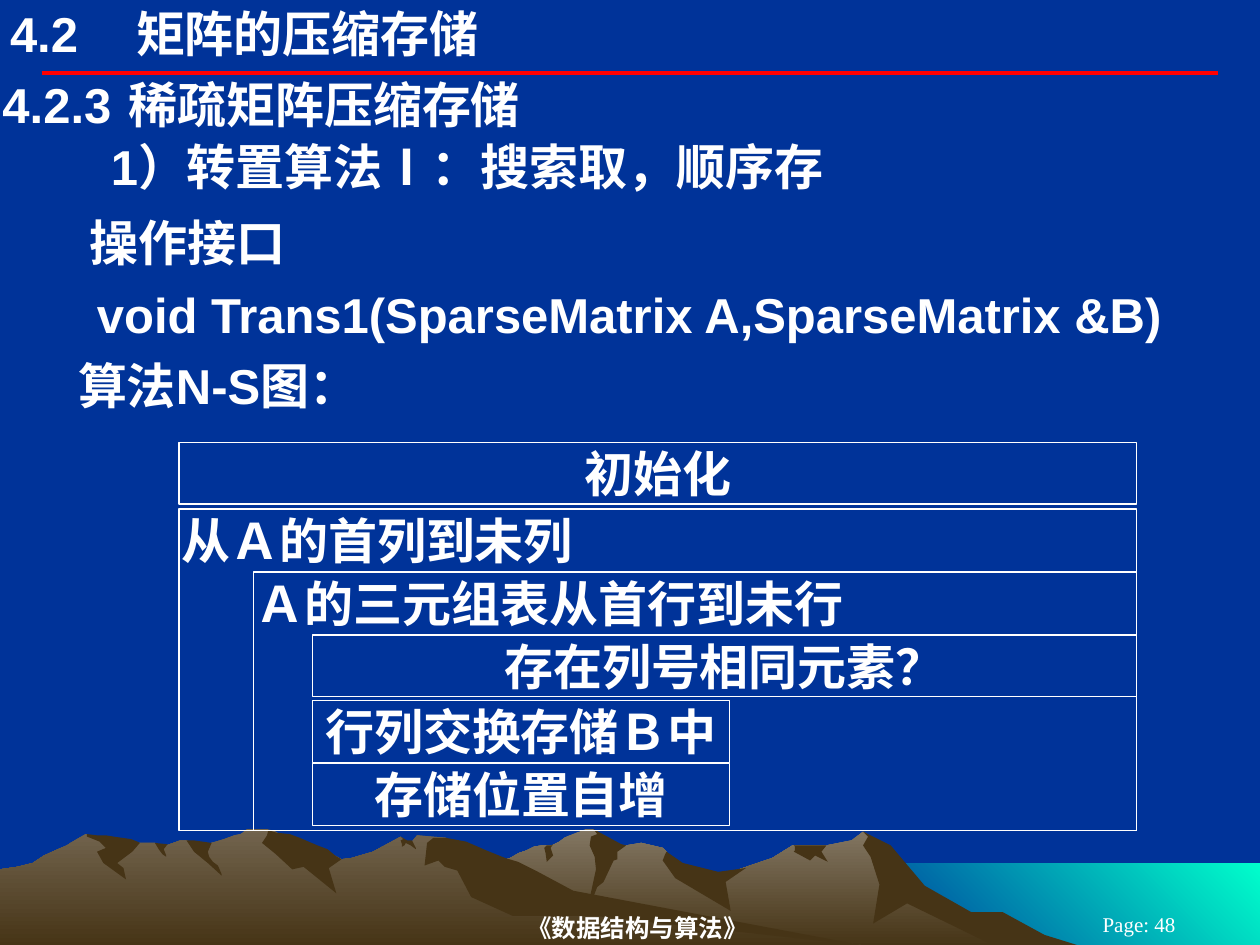
from dataclasses import dataclass

from lxml.etree import SubElement
from pptx import Presentation
from pptx.dml.color import RGBColor
from pptx.enum.shapes import MSO_CONNECTOR as Connector, MSO_SHAPE as Shape
from pptx.enum.text import MSO_ANCHOR as Anchor, MSO_AUTO_SIZE as AutoSize, PP_ALIGN as Align
from pptx.oxml.ns import qn
from pptx.util import Inches, Pt


@dataclass(frozen=True)
class Theme:
    background: str = "003399"
    text: str = "FFFFFF"
    rule: str = "FF0000"
    shade: str = "463416"
    near_rock: str = "72644E"
    far_rock: str = "837763"
    sea: str = "00FFCC"
    font: str = "Arial"
    footer_font: str = "Times New Roman"
    body_size: int = 28
    footer_size: int = 14
    page_size: int = 12


THEME = Theme()
LINE_HEIGHT = 0.49
FRAME_RIGHT, FRAME_BOTTOM = 9.02, 6.59

# Body lines: text, top, indent, tab stop
BODY = [
    ("4.2.3\t稀疏矩阵压缩存储", 0.58, 0, 1.26),
    ("1）转置算法Ⅰ：搜索取，顺序存", 1.07, 0.86, None),
    ("操作接口", 1.68, 0.69, None),
    ("void Trans1(SparseMatrix A,SparseMatrix &B)", 2.25, 0.75, None),
    ("算法N-S图：", 2.81, 0.6, None),
]

# N-S diagram: text, left, top, right, bottom (None: one line high), alignment
NS_BLOCKS = [
    ("初始化", 1.42, 3.51, FRAME_RIGHT, None, Align.CENTER),
    ("从Ａ的首列到未列", 1.42, 4.04, FRAME_RIGHT, FRAME_BOTTOM, Align.LEFT),
    ("Ａ的三元组表从首行到未行", 2.01, 4.54, FRAME_RIGHT, FRAME_BOTTOM, Align.LEFT),
    ("存在列号相同元素？", 2.48, 5.04, FRAME_RIGHT, None, Align.CENTER),
    ("行列交换存储Ｂ中", 2.48, 5.56, 5.79, None, Align.CENTER),
    ("存储位置自增", 2.48, 6.06, 5.79, None, Align.CENTER),
]

# Scenery outlines in hundredths of an inch, back to front
SEA = [(1000, 752), (683, 752), (683, 685), (1000, 685)]
FAR_RANGE = [
    (802, 740), (778, 727), (764, 723), (723, 698), (702, 671), (685, 660), (676, 667),
    (656, 671), (629, 671), (613, 681), (566, 697), (536, 690), (529, 676), (526, 673),
    (509, 669), (497, 671), (486, 673), (474, 661), (471, 658), (465, 658), (450, 664),
    (448, 665), (444, 668), (438, 671), (430, 671), (424, 672), (418, 675), (412, 677),
    (405, 681), (399, 683), (394, 685), (355, 698), (327, 709), (277, 739), (258, 751),
    (821, 751)]
FAR_SHADES = [
    [(796, 724), (771, 724), (734, 703), (707, 671), (685, 660), (689, 664), (685, 671),
     (691, 680), (698, 702), (693, 733), (720, 717), (792, 752), (858, 751), (829, 742)],
    [(471, 658), (474, 662), (469, 664), (468, 671), (472, 680), (473, 690), (465, 727),
     (474, 704), (479, 700), (487, 683), (490, 682), (490, 676), (497, 671), (493, 670)],
    [(529, 676), (528, 678), (526, 683), (536, 697), (580, 723), (576, 700), (592, 689),
     (570, 692), (542, 685)],
    [(650, 671), (630, 671), (631, 672), (631, 675), (630, 676), (643, 683), (647, 679),
     (657, 684), (652, 676), (656, 671)],
    [(433, 677), (432, 673), (434, 671), (438, 671), (439, 670), (437, 673), (439, 679),
     (434, 684)],
]
NEAR_RANGE = [
    (690, 751), (667, 748), (432, 712), (354, 665), (331, 663), (327, 668), (323, 668),
    (318, 664), (296, 676), (279, 681), (271, 682), (260, 676), (236, 681), (223, 663),
    (219, 660), (212, 658), (196, 658), (191, 662), (186, 663), (178, 666), (168, 669),
    (160, 671), (148, 667), (143, 667), (132, 671), (128, 671), (123, 669), (111, 669),
    (94, 671), (68, 662), (56, 669), (53, 671), (46, 674), (35, 679), (26, 685),
    (14, 688), (0, 690), (0, 751)]
NEAR_SHADES = [
    [(212, 663), (208, 669), (219, 678), (232, 690), (241, 688), (267, 709), (261, 689),
     (271, 682), (266, 679), (260, 674), (252, 671), (238, 665), (230, 662), (220, 661),
     (213, 659)],
    [(370, 668), (354, 665), (344, 665), (339, 669), (337, 687), (348, 683), (353, 688),
     (363, 691), (374, 712), (407, 727), (472, 727), (690, 751), (683, 750), (455, 707),
     (427, 692), (411, 684), (401, 681), (386, 675)],
    [(318, 667), (320, 666), (318, 664), (323, 667), (327, 667), (330, 673), (330, 674),
     (326, 671), (322, 669), (321, 671), (319, 672), (319, 670)],
    [(154, 667), (161, 668), (168, 669), (165, 676), (166, 680), (169, 684), (173, 687),
     (176, 694), (176, 695), (165, 685), (154, 676), (148, 667)],
    [(133, 670), (130, 674), (132, 679), (132, 680), (129, 678), (126, 674), (123, 669)],
    [(109, 668), (111, 669), (105, 676), (93, 685), (98, 689), (100, 698), (82, 685),
     (77, 676), (84, 673), (79, 668), (69, 664), (69, 662), (77, 663), (84, 663),
     (90, 664), (104, 666)],
]
SCENERY = [
    # outlines, colours (two make a gradient), clockwise gradient angle
    ([SEA], (THEME.sea, THEME.background), 135),
    ([FAR_RANGE], (THEME.far_rock, THEME.shade), 90),
    (FAR_SHADES, (THEME.shade,), None),
    ([NEAR_RANGE], (THEME.near_rock, THEME.shade), 90),
    (NEAR_SHADES, (THEME.shade,), None),
]


def rgb(value):
    return RGBColor.from_string(value)


def draw_outline(page, points, colours, angle):
    builder = page.shapes.build_freeform(*points[0], scale=Inches(0.01))
    builder.add_line_segments(points[1:], close=True)
    shape = builder.convert_to_shape()
    shape.shadow.inherit = False
    shape.line.fill.background()
    if angle is None:
        shape.fill.solid()
        shape.fill.fore_color.rgb = rgb(colours[0])
        return
    shape.fill.gradient()
    shape.fill.gradient_angle = 360 - angle
    for stop, colour in zip(shape.fill.gradient_stops, colours):
        stop.color.rgb = rgb(colour)


def write_text(page, text, left, top, width, height, *, framed=False, size=THEME.body_size,
               font=THEME.font, bold=True, align=Align.LEFT, anchor=Anchor.TOP,
               insets=(0.02, 0.01, 0.02, 0.01), indent=0, tab=None, grow=True):
    area = [Inches(value) for value in (left, top, width, height)]
    if framed:
        box = page.shapes.add_shape(Shape.RECTANGLE, *area)
        box.shadow.inherit = False
        box.fill.background()
        box.line.color.rgb = rgb(THEME.text)
        box.line.width = Pt(0.75)
    else:
        box = page.shapes.add_textbox(*area)
    frame = box.text_frame
    frame.word_wrap = True
    frame.auto_size = AutoSize.SHAPE_TO_FIT_TEXT if grow else AutoSize.NONE
    frame.vertical_anchor = anchor
    (frame.margin_left, frame.margin_top,
     frame.margin_right, frame.margin_bottom) = [Inches(value) for value in insets]
    para = frame.paragraphs[0]
    para.alignment = align
    properties = para._p.get_or_add_pPr()
    properties.set("marL", str(Inches(indent)))
    properties.set("indent", "0")
    if tab:
        tabs = SubElement(properties, qn("a:tabLst"))
        SubElement(tabs, qn("a:tab"), pos=str(Inches(tab)), algn="l")
    span = para.add_run()
    span.text = text
    span.font.size, span.font.name, span.font.bold = Pt(size), font, bold
    span.font.color.rgb = rgb(THEME.text)


def main():
    deck = Presentation()
    deck.slide_width, deck.slide_height = Inches(10), Inches(7.5)
    page = deck.slides.add_slide(deck.slide_layouts[6])
    page.background.fill.solid()
    page.background.fill.fore_color.rgb = rgb(THEME.background)

    # Sea and mountains
    for outlines, colours, angle in SCENERY:
        for points in outlines:
            draw_outline(page, points, colours, angle)

    # Rule under the title
    rule = page.shapes.add_connector(
        Connector.STRAIGHT, Inches(0.33), Inches(0.58), Inches(9.67), Inches(0.58))
    rule.line.color.rgb = rgb(THEME.rule)
    rule.line.width = Pt(2.25)
    SubElement(rule._element.spPr, qn("a:effectLst"))

    # Footer
    write_text(page, "《数据结构与算法》", 2.08, 7.22, 6.06, 0.28, size=THEME.footer_size,
               font=THEME.footer_font, align=Align.CENTER, anchor=Anchor.MIDDLE,
               insets=(0, 0.01, 0.1, 0.01), grow=False)
    write_text(page, "Page: 48", 8.25, 7.25, 1.58, 0.17, size=THEME.page_size,
               font=THEME.footer_font, bold=False, align=Align.CENTER,
               anchor=Anchor.MIDDLE, insets=(0.1, 0.05, 0.1, 0.05), grow=False)

    # Title and body
    write_text(page, "4.2\t矩阵的压缩存储", 0.08, 0.03, 6.5, 0.47, insets=(0, 0, 0, 0), tab=0.84)
    for text, top, indent, tab in BODY:
        write_text(page, text, 0, top, 10, LINE_HEIGHT, indent=indent, tab=tab)

    # N-S diagram
    for text, left, top, right, bottom, align in NS_BLOCKS:
        height = bottom - top if bottom else LINE_HEIGHT
        write_text(page, text, left, top, right - left, height, framed=True,
                   align=align, grow=bottom is None)

    deck.save("out.pptx")


if __name__ == "__main__":
    main()
